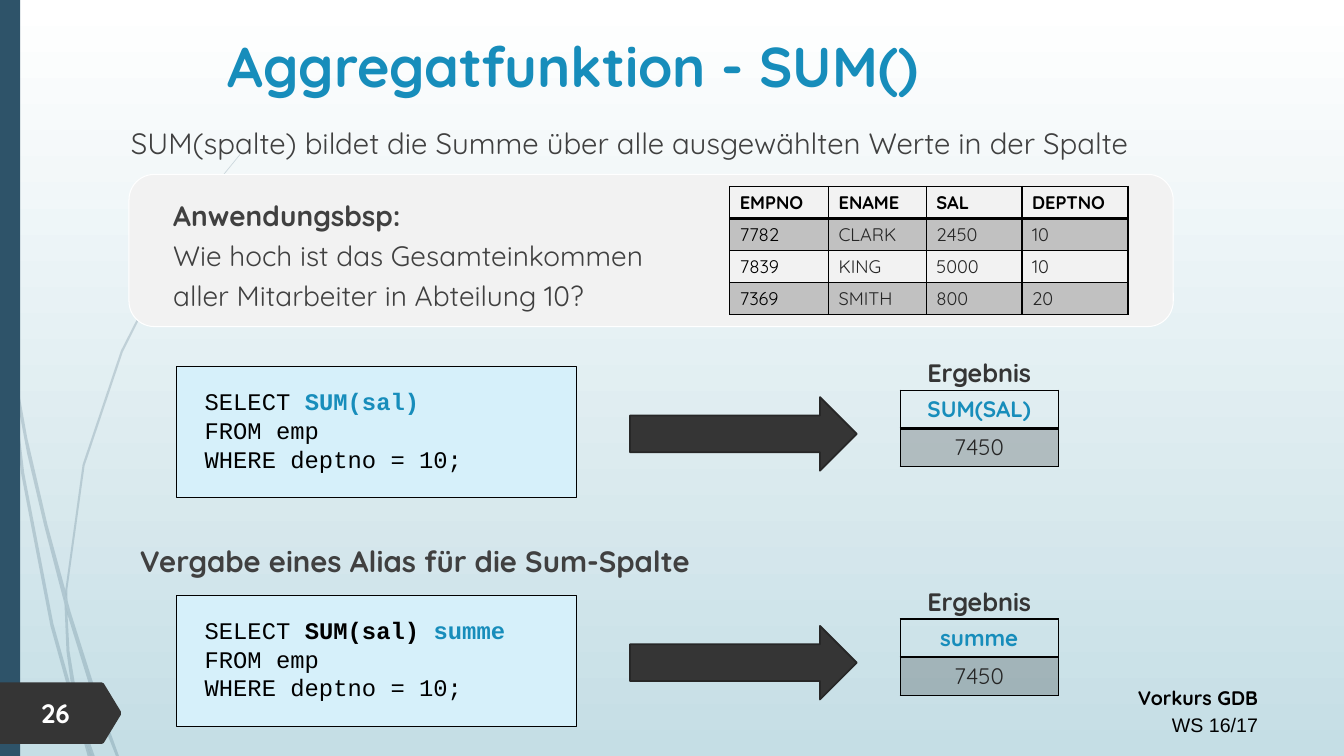
import dataclasses

import pptx
import pptx.dml.color
import pptx.enum.shapes
import pptx.enum.text
import pptx.oxml
import pptx.oxml.ns
import pptx.util

COLUMNS, ROWS = 160, 90
CELL = pptx.util.Inches(1) / 12
HUNDREDTH = pptx.util.Inches(0.01)
SHAPE = pptx.enum.shapes.MSO_SHAPE
ALIGN = pptx.enum.text.PP_ALIGN
MIDDLE = pptx.enum.text.MSO_ANCHOR.MIDDLE


@dataclasses.dataclass(frozen=True)
class Theme:
    accent: str = "178DBB"
    navy: str = "2E5369"
    dark: str = "353535"
    edge: str = "272727"
    body: str = "404040"
    value: str = "262626"
    black: str = "000000"
    white: str = "FFFFFF"
    sky: str = "C5DEE5"
    panel: str = "F2F2F2"
    code: str = "D6F0FA"
    face: str = "Quicksand"
    mono: str = "Courier New"
    plain: str = "Arial"
    title_size: int = 40
    body_size: int = 21
    task_size: int = 20
    number_size: int = 19
    label_size: int = 18
    code_size: int = 17
    result_size: int = 16
    footer_size: int = 14
    table_size: int = 13
    opacity: int = 20


THEME = Theme()


@dataclasses.dataclass(frozen=True)
class Box:
    left: float
    top: float
    width: float
    height: float

    def inner(self, left, top, width, height):
        return Box(self.left + left, self.top + top, width, height)

    def lengths(self):
        return [pptx.util.Emu(round(n * CELL)) for n in dataclasses.astuple(self)]


WISPS = [
    [(8, 350), (6, 322), (0, 282), (0, 299), (8, 344)],
    [(44, 522), (64, 599), (65, 586), (47, 520), (27, 434), (11, 345), (13, 376), (27, 450)],
    [(70, 607), (67, 596), (67, 610), (93, 694), (115, 750), (118, 750), (97, 692)],
    [(91, 750), (94, 750), (80, 711)],
    [(71, 683), (53, 619), (24, 469), (13, 376), (8, 350), (21, 470), (50, 621),
     (70, 693), (77, 714), (75, 707)],
    [(64, 599), (66, 646), (71, 683), (73, 692), (80, 711), (79, 706), (69, 646),
     (67, 610), (67, 608)],
    [(67, 584), (84, 462), (122, 349), (174, 245), (205, 198), (221, 175), (238, 154),
     (238, 153), (220, 175), (204, 197), (173, 244), (120, 348), (82, 461), (65, 584),
     (65, 586), (67, 596)],
    [(77, 714), (87, 750), (90, 750)],
    [(67, 608), (67, 610), (67, 596), (65, 586), (64, 599)],
    [(74, 692), (71, 683), (75, 707), (77, 714), (90, 750), (91, 750), (80, 711)],
]
NUMBER_TAG = [(120, 32), (103, 60), (101, 61), (0, 61), (0, 0), (101, 0), (103, 1), (120, 29)]
EMPLOYEES = [
    ("EMPNO", "ENAME", "SAL", "DEPTNO"),
    ("7782", "CLARK", "2450", "10"),
    ("7839", "KING", "5000", "10"),
    ("7369", "SMITH", "800", "20"),
]


def rgb(value):
    return pptx.dml.color.RGBColor.from_string(value)


def style(size, color, bold=False, name=THEME.face):
    return {"size": pptx.util.Pt(size), "name": name, "bold": bold, "color": color}


def write(frame, paras, **para_format):
    frame.word_wrap = True
    for index, spans in enumerate(paras):
        para = frame.paragraphs[0] if index == 0 else frame.add_paragraph()
        for name, value in para_format.items():
            setattr(para, name, value)
        for text, look in spans:
            if text == "\n":
                para.add_line_break()
                continue
            span = para.add_run()
            span.text = text
            for name, value in look.items():
                if name == "color":
                    span.font.color.rgb = rgb(value)
                else:
                    setattr(span.font, name, value)


def text_box(page, box, paras, **para_format):
    write(page.shapes.add_textbox(*box.lengths()).text_frame, paras, **para_format)


def fade(element):
    color = element.find(".//" + pptx.oxml.ns.qn("a:srgbClr"))
    alpha = color.makeelement(pptx.oxml.ns.qn("a:alpha"), {"val": str(THEME.opacity * 1000)})
    color.append(alpha)


def paint(shape, fill, line=None, width=0.75):
    shape.shadow.inherit = False
    shape.fill.solid()
    shape.fill.fore_color.rgb = rgb(fill)
    if line:
        shape.line.color.rgb = rgb(line)
        shape.line.width = pptx.util.Pt(width)
    else:
        shape.line.fill.background()
    return shape


def preset(page, kind, box, fill, line=None, width=0.75):
    return paint(page.shapes.add_shape(kind, *box.lengths()), fill, line, width)


def outline(page, box, points, fill):
    builder = page.shapes.build_freeform(*points[0], scale=HUNDREDTH)
    builder.add_line_segments(points[1:], close=True)
    left, top = box.lengths()[:2]
    return paint(builder.convert_to_shape(left, top), fill)


def border(cell, row):
    properties = cell._tc.get_or_add_tcPr()
    widths = {"L": 1, "R": 1, "T": 2 if row == 1 else 1, "B": 2 if row == 0 else 1}
    for index, (side, width) in enumerate(widths.items()):
        properties.insert(index, pptx.oxml.parse_xml(
            f'<a:ln{side} {pptx.oxml.ns.nsdecls("a")} w="{pptx.util.Pt(width)}">'
            f'<a:solidFill><a:srgbClr val="{THEME.black}"/></a:solidFill></a:ln{side}>'))


def grid_table(page, box, widths, values, look, **para_format):
    table = page.shapes.add_table(len(values), len(widths), *box.lengths()).table
    table.first_row = table.horz_banding = False
    for column, width in zip(table.columns, widths):
        column.width = pptx.util.Emu(round(width * CELL))
    for row, texts in enumerate(values):
        table.rows[row].height = pptx.util.Emu(round(box.height / len(values) * CELL))
        for column, text in enumerate(texts):
            cell = table.cell(row, column)
            write(cell.text_frame, [[(text, look(row, column))]], **para_format)
            if row % 2:
                cell.fill.solid()
                cell.fill.fore_color.rgb = rgb(THEME.black)
                fade(cell._tc.get_or_add_tcPr())
            else:
                cell.fill.background()
            border(cell, row)


def backdrop(page, box):
    fill = page.background.fill
    fill.gradient()
    fill.gradient_angle = 270
    for stop, color in zip(fill.gradient_stops, (THEME.white, THEME.sky)):
        stop.color.rgb = rgb(color)
    for points in WISPS:
        fade(outline(page, box, points, THEME.navy).element)
    preset(page, SHAPE.RECTANGLE, box.inner(0, 0, 2.4, box.height), THEME.navy)


def footer(page, box):
    text_box(page, box.inner(88.56, 0, 62.4, 7.68), [
        [("Vorkurs GDB", style(THEME.footer_size, THEME.black, True))],
        [("WS 16/17", style(THEME.footer_size, THEME.black, name=THEME.plain))],
    ], alignment=ALIGN.RIGHT, line_spacing=1.14)
    outline(page, box.inner(0, 0.6, 14.4, 7.32), NUMBER_TAG, THEME.dark)
    text_box(page, box.inner(3.72, 1.68, 8.4, 5.04),
             [[("26", style(THEME.number_size, THEME.white, True))]])


def statement(page, box, spans):
    text_box(page, box, [spans], line_spacing=1.2, space_before=pptx.util.Pt(10))


def task_panel(page, box):
    def look(row, column):
        color = THEME.black if row == 0 or column == 0 else THEME.value
        return style(THEME.table_size, color, row == 0)

    preset(page, SHAPE.ROUNDED_RECTANGLE, box, THEME.panel, THEME.white)
    grid_table(page, box.inner(71.52, 1.44, 47.4, 15.24),
               (11.76, 11.64, 11.4, 12.6), EMPLOYEES, look)
    statement(page, box.inner(4.08, 1.44, 64.32, 17.76), [
        ("Anwendungsbsp:", style(THEME.task_size, THEME.body, True)),
        ("\n", {}),
        ("Wie hoch ist das Gesamteinkommen aller Mitarbeiter in Abteilung 10?",
         style(THEME.task_size, THEME.body)),
    ])


def query_example(page, box, selection, header):
    def look(row, column):
        return style(THEME.result_size, THEME.value if row else THEME.accent, row == 0)

    code = style(THEME.code_size, THEME.black, name=THEME.mono)
    query = preset(page, SHAPE.RECTANGLE, box.inner(0, 1.68, 47.64, 15.6),
                   THEME.code, THEME.black)
    frame = query.text_frame
    insets = {"margin_left": 3.36, "margin_top": 0, "margin_right": 1.2, "margin_bottom": 0.6}
    for name, value in insets.items():
        setattr(frame, name, pptx.util.Emu(round(value * CELL)))
    frame.vertical_anchor = MIDDLE
    marked = [(text, style(THEME.code_size, color, True, THEME.mono)) for text, color in selection]
    write(frame, [[("SELECT ", code), *marked], [("FROM emp", code)],
                  [("WHERE deptno = 10;", code)]], alignment=ALIGN.LEFT)
    grid_table(page, box.inner(86.16, 4.44, 18.84, 9.12), (18.84,),
               [(header,), ("7450",)], look, alignment=ALIGN.CENTER)
    text_box(page, box.inner(87.36, 0, 16.44, 4.8),
             [[("Ergebnis", style(THEME.label_size, THEME.dark, True))]],
             alignment=ALIGN.CENTER)
    preset(page, SHAPE.RIGHT_ARROW, box.inner(54, 5.28, 27, 8.76), THEME.dark, THEME.edge, 1.25)


def sum_slide(page, box):
    backdrop(page, box)
    footer(page, box.inner(0, 80.64, box.width, 9.36))
    text_box(page, box.inner(14.4, 3.12, 107.64, 9.72),
             [[("Aggregatfunktion - SUM()", style(THEME.title_size, THEME.accent, True))]],
             alignment=ALIGN.CENTER)
    statement(page, box.inner(14.4, 13.44, 136.56, 8.76), [
        ("SUM(spalte) bildet die Summe über alle ausgewählten Werte in der Spalte",
         style(THEME.body_size, THEME.body))])
    task_panel(page, box.inner(15.36, 20.76, 124.32, 18.12))
    query_example(page, box.inner(21, 42, 105, 17.28), [("SUM(sal)", THEME.accent)], "SUM(SAL)")
    statement(page, box.inner(15.48, 63.24, 136.56, 8.76), [
        ("Vergabe eines Alias für die Sum-Spalte", style(THEME.body_size, THEME.body, True))])
    query_example(page, box.inner(21, 69.24, 105, 17.28),
                  [("SUM(sal) ", THEME.black), ("summe", THEME.accent)], "summe")


def main():
    deck = pptx.Presentation()
    deck.slide_width, deck.slide_height = Box(0, 0, COLUMNS, ROWS).lengths()[2:]
    page = deck.slides.add_slide(deck.slide_layouts[6])
    sum_slide(page, Box(0, 0, COLUMNS, ROWS))
    deck.save("out.pptx")


if __name__ == "__main__":
    main()
